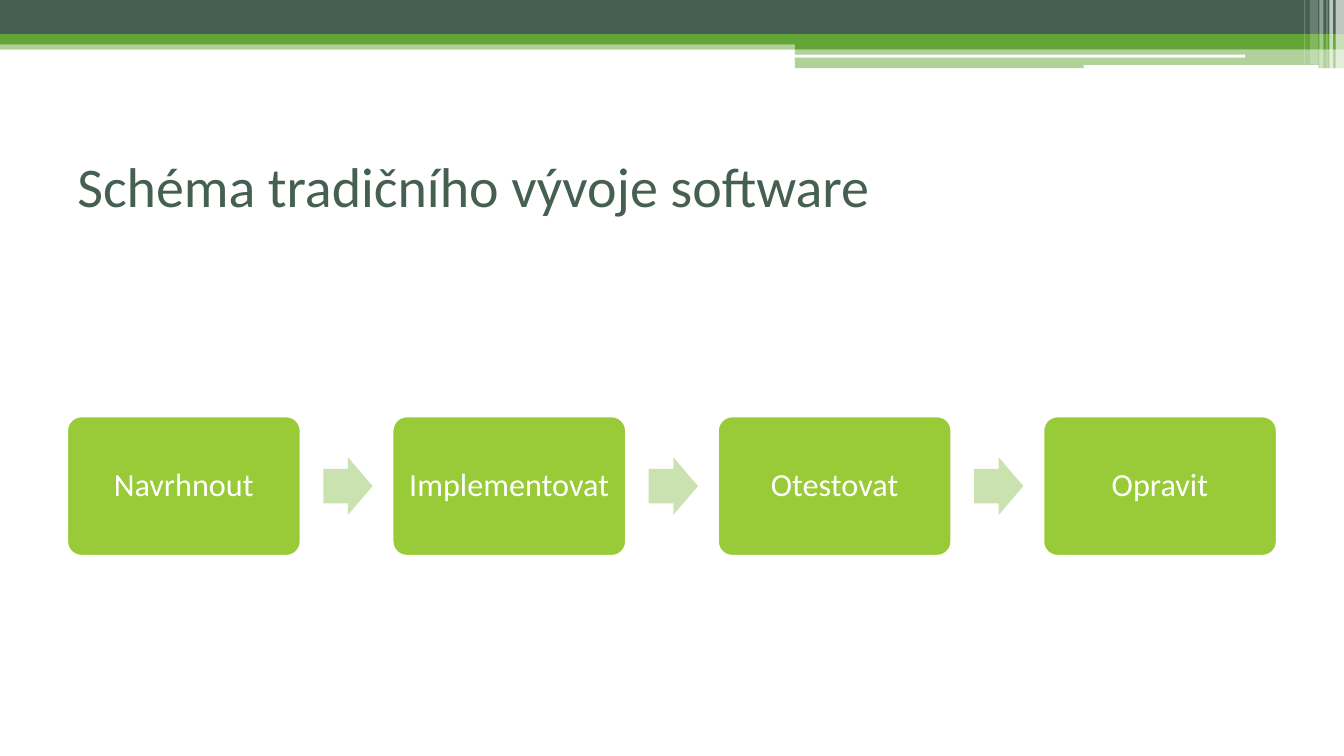
from typing import NamedTuple

from lxml import etree
from pptx import Presentation
from pptx import util as u
from pptx.dml.color import RGBColor
from pptx.enum import shapes, text
from pptx.oxml import ns

Kind = shapes.MSO_SHAPE
DARK, GREEN, LIME, PALE, WHITE = "455F51", "63A537", "99CB38", "CAE2AF", "FFFFFF"
WIDE, HIGH = 33.87, 19.05


class Band(NamedTuple):
    """A strip of the header; lengths in cm, alpha in percent."""
    left: float
    top: float
    width: float
    height: float
    color: str
    alpha: int = 100
    kind: Kind = Kind.RECTANGLE


BANDS = [
    Band(0, 1.02, WIDE, 0.23, GREEN, 50),
    Band(0, 0, WIDE, 0.86, DARK),
    Band(0, 0.86, WIDE, 0.26, GREEN),
    Band(20.03, 0.99, 13.84, 0.25, GREEN),
    Band(20.03, 1.22, 13.84, 0.5, GREEN, 50),
    Band(20.03, 1.38, 11.35, 0.07, WHITE, kind=Kind.ROUNDED_RECTANGLE),
    Band(27.31, 1.64, 5.92, 0.09, WHITE, kind=Kind.ROUNDED_RECTANGLE),
    Band(33.66, 0, 0.21, 1.73, WHITE, 65),
    Band(33.5, 0, 0.1, 1.73, WHITE, 65),
    Band(33.43, 0, 0.02, 1.73, WHITE, 60),
    Band(33.25, 0, 0.1, 1.73, WHITE, 40),
    Band(33.02, 0, 0.2, 1.63, WHITE, 20),
    Band(32.87, 0, 0.02, 1.63, WHITE, 30),
]
STEPS = ["Navrhnout", "Implementovat", "Otestovat", "Opravit"]
LEFT, PITCH, MID = 1.7, 8.2, 12.25
BOX_W, BOX_H = 5.87, 3.5
ARROW_W, ARROW_H, ARROW_X = 1.24, 1.45, 6.45


def tint(fmt, color: str, alpha: int = 100) -> None:
    """Give a fill a solid colour and, if asked, transparency."""
    fmt.solid()
    fmt.fore_color.rgb = RGBColor.from_string(color)
    if alpha < 100:
        node = fmt._xPr.find(".//" + ns.qn("a:srgbClr"))
        etree.SubElement(node, ns.qn("a:alpha"), val=str(alpha * 1000))


def draw(slide, band: Band):
    """Draw one plain shape without line or shadow."""
    shape = slide.shapes.add_shape(band.kind, *map(u.Cm, band[:4]))
    shape.shadow.inherit = False
    shape.line.fill.background()
    tint(shape.fill, band.color, band.alpha)
    return shape


def write(shape, words: str, *, size: float, color: str, align=text.PP_ALIGN.LEFT,
          inset: float = 0.25, lead: float = 1.0) -> None:
    """Write one vertically centred paragraph into a shape."""
    frame = shape.text_frame
    frame.word_wrap = True
    frame.vertical_anchor = text.MSO_ANCHOR.MIDDLE
    frame.margin_left = frame.margin_right = u.Cm(inset)
    para = frame.paragraphs[0]
    para.alignment, para.line_spacing = align, lead
    run = para.add_run()
    run.text = words
    run.font.name, run.font.size = "Calibri", u.Pt(size)
    tint(run.font.fill, color)


def step(slide, num: int, words: str) -> None:
    """Draw one step box, and an arrow before it unless it is first."""
    left = LEFT + num * PITCH
    if num:
        draw(slide, Band(left - PITCH + ARROW_X, MID - ARROW_H / 2, ARROW_W, ARROW_H,
                         PALE, kind=Kind.RIGHT_ARROW)).adjustments[0] = 0.6
    box = draw(slide, Band(left, MID - BOX_H / 2, BOX_W, BOX_H, LIME,
                           kind=Kind.ROUNDED_RECTANGLE))
    box.adjustments[0] = 0.1
    box.line.width = u.Pt(1)
    tint(box.line.fill, WHITE)
    write(box, words, size=23, color=WHITE, align=text.PP_ALIGN.CENTER,
          inset=0.3, lead=0.9)


def main() -> None:
    """Build the slide and save it."""
    deck = Presentation()
    deck.slide_width, deck.slide_height = u.Cm(WIDE), u.Cm(HIGH)
    slide = deck.slides.add_slide(deck.slide_layouts[6])
    for band in BANDS:
        draw(slide, band)
    for num, words in enumerate(STEPS):
        step(slide, num, words)
    title = slide.shapes.add_textbox(*map(u.Cm, (LEFT, 3.18, 30.48, 2.97)))
    write(title, "Schéma tradičního vývoje software", size=40, color=DARK)
    deck.save("out.pptx")


main()
